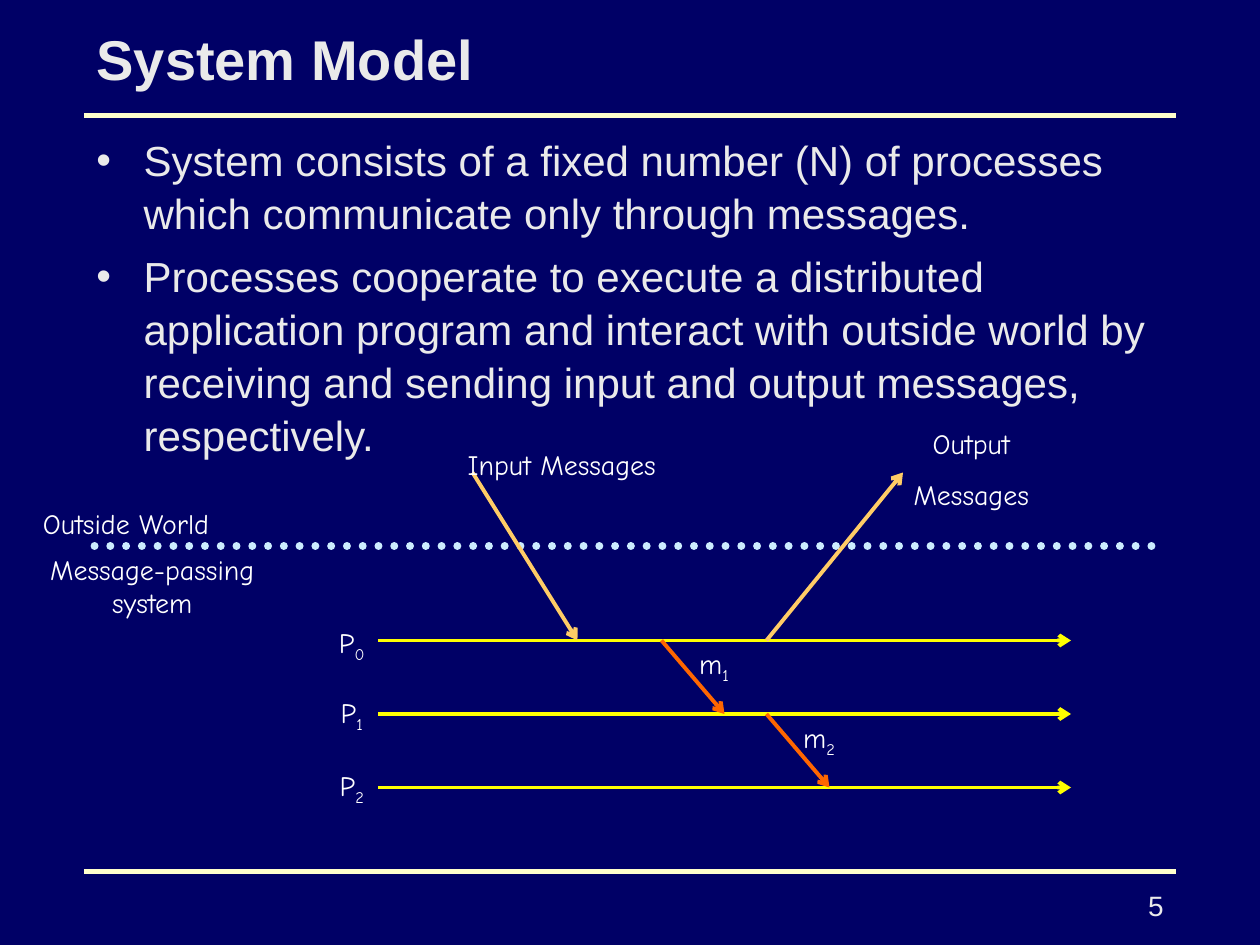
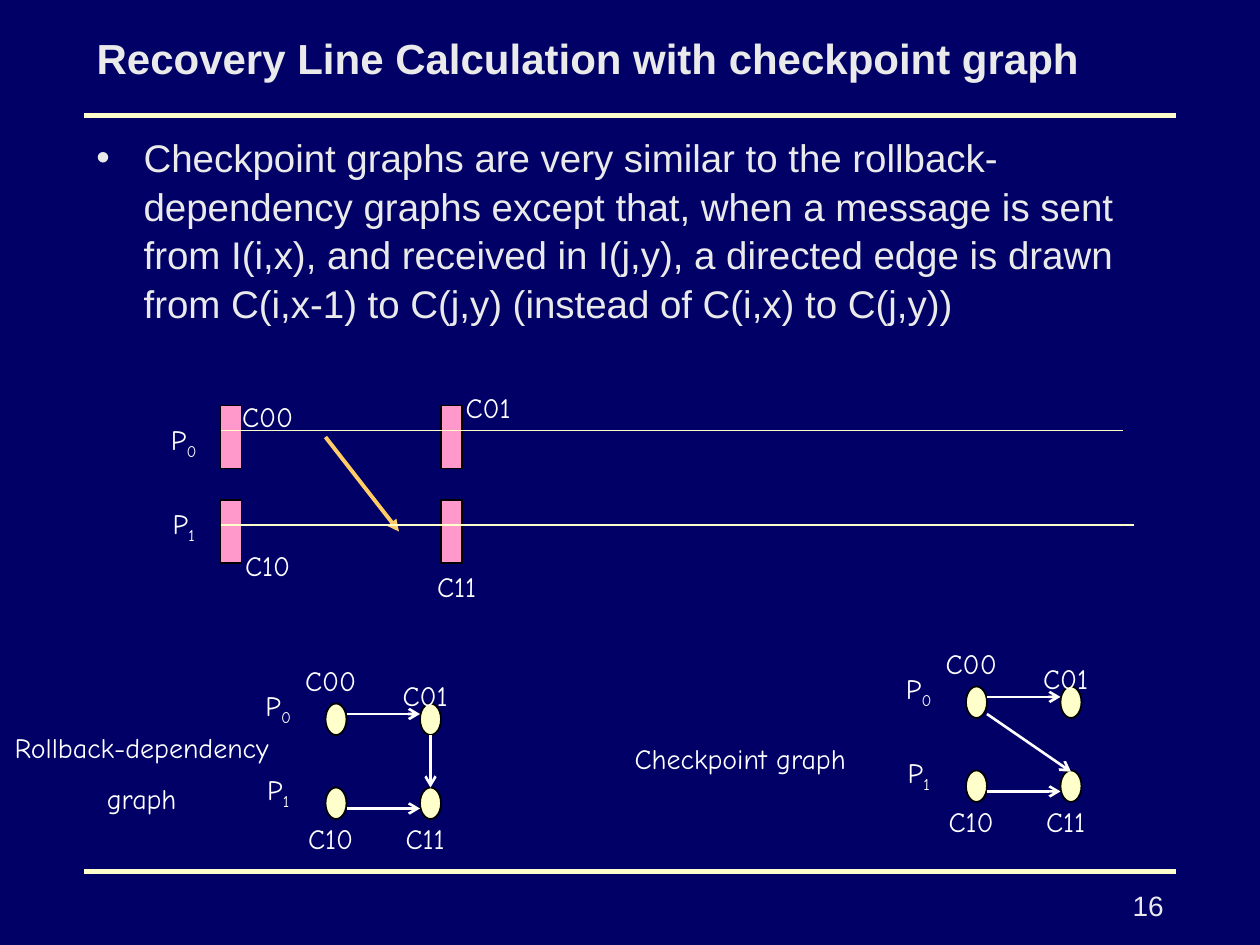
from dataclasses import dataclass

from lxml import etree
from pptx import Presentation
from pptx import util as u
from pptx.dml.color import RGBColor
from pptx.enum import dml, shapes, text
from pptx.oxml.ns import qn

PX = 9525  # EMU in one px, 96 px to the inch


@dataclass(frozen=True)
class Theme:
    background: str = "000066"
    body: str = "EAEAEA"
    label: str = "FFFFFF"
    cream: str = "FFFFCC"
    process: str = "FFFF00"
    boundary: str = "CCECFF"
    outside: str = "FFCC66"
    message: str = "FF6600"
    checkpoint: str = "FF99CC"
    outline: str = "000000"
    body_font: str = "Arial"
    label_font: str = "Comic Neue"
    title_size: int = 32
    body_size: int = 24
    label_size: int = 16


THEME = Theme()
ALIGN = text.PP_ALIGN


def px(*lengths):
    return [u.Emu(length * PX) for length in lengths]


def color(value):
    return RGBColor.from_string(value)


def apply(target, values):
    for name, value in values.items():
        setattr(target, name, value)


def sub_element(parent, tag, **attributes):
    return etree.SubElement(parent, qn(tag), attributes)


class Deck:
    def __init__(self, theme):
        self.theme = theme
        self.presentation = Presentation()
        width, height = px(960, 720)
        apply(self.presentation, {"slide_width": width, "slide_height": height})
        self.slide = None

    # Slide frame: background, rules, number and title
    def new_slide(self, title, number, title_size):
        theme = self.theme
        self.slide = self.presentation.slides.add_slide(self.presentation.slide_layouts[5])
        fill = self.slide.background.fill
        fill.solid()
        fill.fore_color.rgb = color(theme.background)
        for y in (88, 664):
            self.line((64, y), (896, y), theme.cream, 3)
        self.text_box((792, 672, 104, 32), [str(number)], theme.body_font, theme.label_size,
                      theme.body, ALIGN.RIGHT)
        shape = self.slide.shapes.title
        apply(shape, dict(zip(("left", "top", "width", "height"), px(64, 16, 832, 56))))
        frame = shape.text_frame
        apply(frame, {"text": title, "word_wrap": True, "auto_size": text.MSO_AUTO_SIZE.NONE,
                      "vertical_anchor": text.MSO_ANCHOR.MIDDLE})
        paragraph = frame.paragraphs[0]
        paragraph.alignment = ALIGN.LEFT
        self.style(paragraph.runs[0], theme.body_font, title_size, theme.body, True)

    def style(self, run, font_name, size, font_color, bold=False):
        apply(run.font, {"name": font_name, "size": u.Pt(size), "bold": bold})
        run.font.color.rgb = color(font_color)

    # Text: "P_0" sets the part after the underscore as a subscript
    def text_box(self, box, lines, font_name, size, font_color, alignment, gap=0):
        frame = self.slide.shapes.add_textbox(*px(*box)).text_frame
        frame.word_wrap = True
        for index, line in enumerate(lines):
            paragraph = frame.add_paragraph() if index else frame.paragraphs[0]
            apply(paragraph, {"alignment": alignment, "space_before": u.Pt(gap if index else 0)})
            base, _, subscript = line.partition("_")
            for part, offset in ((base, None), (subscript, "-25000")):
                if part:
                    run = paragraph.add_run()
                    run.text = part
                    self.style(run, font_name, size, font_color)
                    if offset:
                        run.font._element.set("baseline", offset)
        return frame

    def label(self, left, top, *lines, width=88, height=35):
        theme = self.theme
        self.text_box((left, top, width, height), lines, theme.label_font, theme.label_size,
                      theme.label, ALIGN.CENTER, gap=10)

    def process_label(self, left, top, index):
        self.label(left, top, f"P_{index}", width=56, height=39)

    def bullets(self, lines, height, size):
        theme = self.theme
        frame = self.text_box((64, 96, 832, height), lines, theme.body_font, size, theme.body,
                              ALIGN.LEFT, gap=size / 4)
        for paragraph in frame.paragraphs:
            paragraph.line_spacing = 1.05
            properties = paragraph._p.get_or_add_pPr()
            indent = 36 * PX
            properties.set("marL", str(indent))
            properties.set("indent", str(-indent))
            sub_element(sub_element(properties, "a:buClr"), "a:srgbClr", val=theme.body)
            sub_element(properties, "a:buFont", typeface=theme.body_font)
            sub_element(properties, "a:buChar", char="•")

    # Lines and shapes
    def line(self, start, end, line_color, width, head=None, dotted=False):
        connector = self.slide.shapes.add_connector(
            shapes.MSO_CONNECTOR.STRAIGHT, *px(*start, *end))
        line = connector.line
        line.color.rgb = color(line_color)
        line.width = u.Pt(width)
        element = line._get_or_add_ln()
        if dotted:
            line.dash_style = dml.MSO_LINE.ROUND_DOT
            element.set("cap", "rnd")
        if head:
            sub_element(element, "a:tailEnd", type=head)
        sub_element(connector._element.spPr, "a:effectLst")

    def shape(self, kind, box, fill_color):
        shape = self.slide.shapes.add_shape(kind, *px(*box))
        shape.shadow.inherit = False
        shape.fill.solid()
        shape.fill.fore_color.rgb = color(fill_color)
        shape.line.color.rgb = color(self.theme.outline)
        shape.line.width = u.Pt(1)

    # Two-process graph: nodes, edges and labels around a top left node
    def graph(self, left, top, cross_edge):
        theme = self.theme
        for y in (0, 64):
            for x in (0, 72):
                self.shape(shapes.MSO_SHAPE.OVAL, (left + x, top + y, 16, 24), theme.cream)
        for index in range(2):
            self.process_label(left - 64, top - 16 + 64 * index, index)
        for (x1, y1), (x2, y2) in (((16, 8), (72, 8)), ((16, 80), (72, 80)), cross_edge):
            self.line((left + x1, top + y1), (left + x2, top + y2), theme.label, 1.5, "arrow")
        for name, x, y in (("C01", 32, -24), ("C11", 32, 85),
                           ("C00", -40, -35), ("C10", -40, 85)):
            self.label(left + x, top + y, name)


def system_model(deck):
    theme = deck.theme
    deck.new_slide("System Model", 5, theme.title_size)
    deck.bullets([
        "System consists of a fixed number (N) of processes which communicate only "
        "through messages.",
        "Processes cooperate to execute a distributed application program and interact "
        "with outside world by receiving and sending input and output messages, respectively.",
    ], 264, theme.body_size)

    # Processes and the boundary to the outside world
    process_rows = [488 + 56 * index for index in range(3)]
    for y in process_rows:
        deck.line((288, y), (816, y), theme.process, 2.25, "arrow")
    deck.line((72, 416), (880, 416), theme.boundary, 4.5, dotted=True)
    deck.label(0, 416, "Message-passing system", width=232, height=61)
    deck.label(-24, 381, "Outside World", width=240)
    for index, top in enumerate((472, 525, 581)):
        deck.process_label(240, top, index)

    # Messages
    first, second, third = process_rows
    for start, end, line_color in (
            ((360, 360), (440, first), theme.outside),
            ((584, first), (688, 360), theme.outside),
            ((504, first), (552, second), theme.message),
            ((584, second), (632, third), theme.message)):
        deck.line(start, end, line_color, 2.25, "arrow")
    deck.label(520, first, "m_1", width=48, height=39)
    deck.label(600, second, "m_2", width=48, height=39)
    deck.label(344, 336, "Input Messages", width=168)
    deck.label(656, 320, "Output", "Messages", width=168, height=74)


def recovery_line(deck):
    theme = deck.theme
    deck.new_slide("Recovery Line Calculation with checkpoint graph", 16, theme.body_size)
    deck.bullets([
        "Checkpoint graphs are very similar to the rollback-dependency graphs except that, "
        "when a message is sent from I(i,x), and received in I(j,y), a directed edge is drawn "
        "from C(i,x-1) to C(j,y) (instead of C(i,x) to C(j,y))",
    ], 232, theme.body_size - 2)

    # Timelines with checkpoints
    for x in (168, 336):
        for y in (309, 381):
            deck.shape(shapes.MSO_SHAPE.RECTANGLE, (x, y, 16, 48), theme.checkpoint)
    for index, top in enumerate((317, 381)):
        deck.process_label(112, top, index)
    deck.line((248, 333), (304, 405), theme.outside, 2.25, "triangle")
    for y, right in ((328, 856), (400, 864)):
        deck.line((168, y), (right, y), theme.cream, 1)
    for name, left, top in (("C11", 304, 429), ("C10", 160, 413),
                            ("C00", 160, 300), ("C01", 328, 293)):
        deck.label(left, top, name)

    # Graphs
    deck.graph(248, 536, ((80, 24), (80, 64)))
    deck.graph(736, 523, ((16, 21), (80, 65)))
    deck.label(0, 552, "Rollback-dependency", "graph", width=216, height=74)
    deck.label(456, 560, "Checkpoint graph", width=216)


def main():
    deck = Deck(THEME)
    system_model(deck)
    recovery_line(deck)
    deck.presentation.save("out.pptx")


if __name__ == "__main__":
    main()
